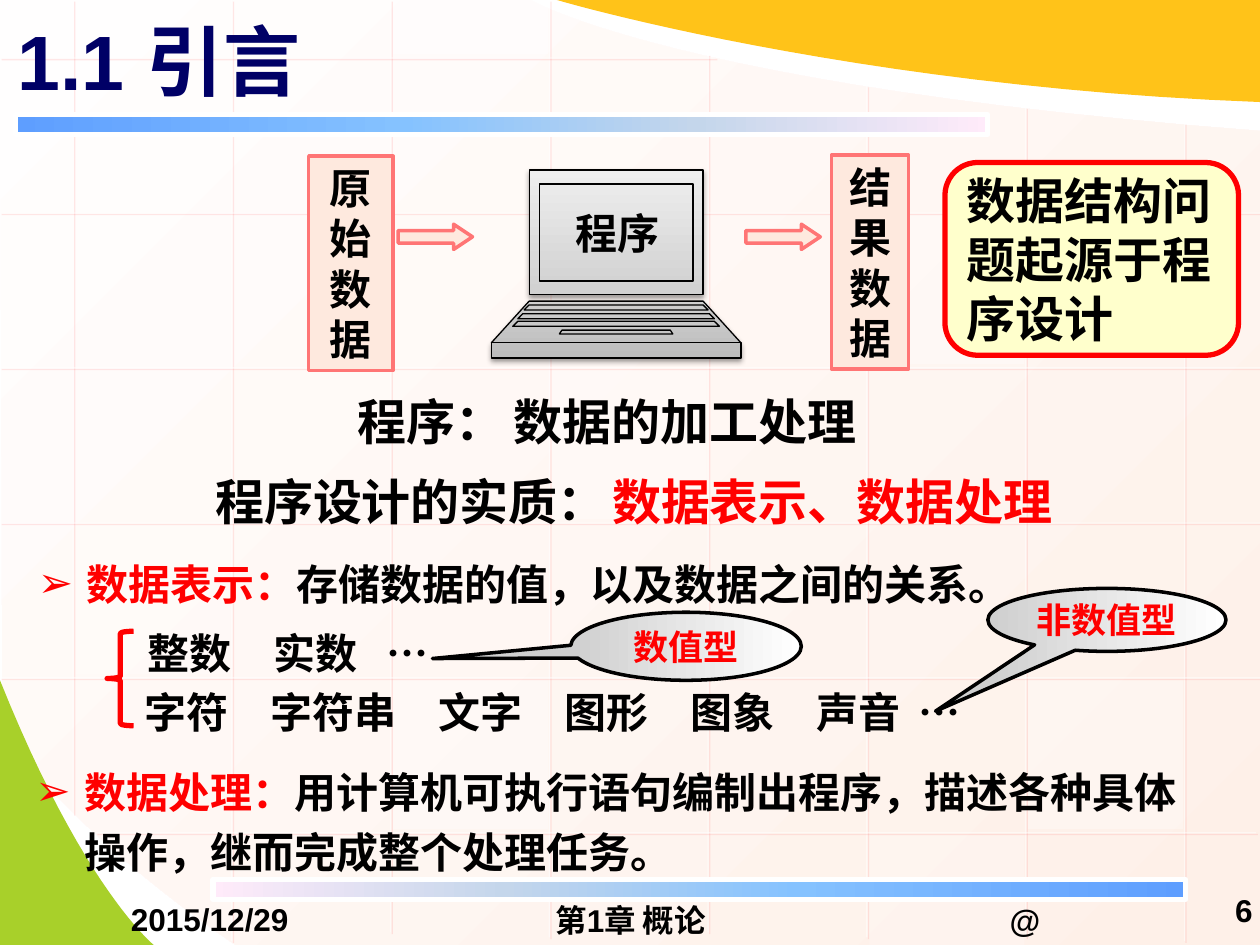
from dataclasses import dataclass

from lxml import etree
from pptx import Presentation
from pptx.dml.color import RGBColor
from pptx.enum.lang import MSO_LANGUAGE_ID
from pptx.enum.shapes import MSO_CONNECTOR, MSO_SHAPE
from pptx.enum.text import MSO_ANCHOR, MSO_AUTO_SIZE, PP_ALIGN
from pptx.oxml.ns import qn
from pptx.util import Inches, Pt

LEFT, CENTER, RIGHT = PP_ALIGN.LEFT, PP_ALIGN.CENTER, PP_ALIGN.RIGHT
TOP, MIDDLE = MSO_ANCHOR.TOP, MSO_ANCHOR.MIDDLE
CHINESE = MSO_LANGUAGE_ID.SIMPLIFIED_CHINESE
COLORS = {
    "black": "000000", "white": "FFFFFF", "navy": "000066", "red": "FF0000",
    "pink": "FF7575", "peach": "FEE9DE", "cream": "FFFFCC",
    "yellow": "FFC319", "green": "A8D02A",
}
BAR_STOPS = [(0, "5E9EFF"), (40, "85C2FF"), (70, "C4D6EB"), (100, "FFEBFA")]
BAR_STOPS_REVERSED = [(100 - position, color) for position, color in reversed(BAR_STOPS)]
LAPTOP_STOPS = [(0, "BDBDBD"), (35, "D1D1D1"), (100, "EEEEEE")]
CALLOUT_STOPS = [(0, "CFCFCF"), (100, "FFFFFF")]
PAPER_STOPS = [(0, "FFFEFE"), (100, "FEF0E8")]
GRID_LEFT, GRID_TOP, COLUMN_STEP, ROW_STEP = 0.58, 0.46, 1.26, 1.23
COLUMN_SPANS = [(0, 6.46), (0, 7.47), (0, 7.4), (0, 7.44),
                (0.43, 7.4), (0.68, 7.44), (0.85, 7.44), (0.98, 7.47)]
ROW_SPANS = [(0, 5.68)] + [(0, 10)] * 4 + [(0.76, 9.97)]
# column, row, opacity
TINTED_CELLS = [(3, 2, 25), (6, 4, 30), (0, 3, 20), (5, 5, 20),
                (2, -1, 40), (2, 4, 30), (5, 1, 30)]
LAPTOP_CENTER = 4.89


@dataclass
class Label:
    text: str
    box: tuple
    size: int = 24
    color: str = "black"
    align: PP_ALIGN = LEFT
    anchor: MSO_ANCHOR = TOP
    tab: float = 0


@dataclass
class LaptopPart:
    top: float
    bottom: float
    top_half: float
    bottom_half: float


@dataclass
class Panel:
    kind: MSO_SHAPE
    box: tuple
    fill: str | list
    line: str
    weight: float
    adjustments: tuple = ()
    text: str = ""
    size: int = 24
    color: str = "black"
    align: PP_ALIGN = CENTER
    font: str = "Arial"


LABELS = [
    Label("2015/12/29", (0.5, 7.14, 2.33, 0.3), 18, align=CENTER, anchor=MIDDLE),
    Label("第1章 概论", (3.42, 7.15, 3.17, 0.3), 18, align=CENTER, anchor=MIDDLE),
    Label("@", (6.97, 7.15, 2.33, 0.3), 18, align=CENTER, anchor=MIDDLE),
    Label("6", (9.38, 6.98, 0.66, 0.49), 18, align=RIGHT, anchor=MIDDLE),
    Label("程序", (4.4, 1.6, 1, 0.5), align=CENTER),
    Label("程序：", (2.74, 3.06, 1.15, 0.57), 28),
    Label("数据的加工处理", (3.98, 3.06, 3, 0.57), 28),
    Label("程序设计的实质：", (1.61, 3.69, 2.94, 0.57), 28),
    Label("数据表示、数据处理", (4.76, 3.69, 3.94, 0.57), 28, "red"),
    Label("整数　实数\t…", (1.07, 4.93, 6.06, 0.5), tab=1.9),
    Label("字符　字符串　文字　图形　图象　声音\t…", (1.05, 5.4, 6.8, 0.5), tab=6.14),
]
LAPTOP_PARTS = [
    LaptopPart(1.35, 2.34, 0.69, 0.69), LaptopPart(2.39, 2.72, 0.69, 0.99),
    LaptopPart(2.72, 2.84, 0.99, 0.99), LaptopPart(1.46, 2.23, 0.61, 0.61),
    LaptopPart(2.42, 2.46, 0.69, 0.73), LaptopPart(2.62, 2.65, 0.43, 0.45),
    LaptopPart(2.49, 2.53, 0.74, 0.78), LaptopPart(2.55, 2.59, 0.78, 0.82),
]
PANELS = [
    Panel(MSO_SHAPE.RIGHT_ARROW, (3.16, 1.78, 0.59, 0.2), "peach", "pink", 2, (0.5, 0.75)),
    Panel(MSO_SHAPE.RIGHT_ARROW, (5.92, 1.78, 0.59, 0.2), "peach", "pink", 2, (0.5, 0.75)),
    Panel(MSO_SHAPE.RECTANGLE, (2.45, 1.24, 0.67, 1.7), "peach", "pink", 2, text="原始数据"),
    Panel(MSO_SHAPE.RECTANGLE, (6.6, 1.23, 0.61, 1.7), "peach", "pink", 2, text="结果数据"),
    Panel(MSO_SHAPE.ROUNDED_RECTANGLE, (7.5, 1.29, 2.33, 1.53), "cream", "red", 3, (0.17,),
          "数据结构问题起源于程序设计", 28, align=LEFT, font="Noto Sans CJK SC"),
    Panel(MSO_SHAPE.OVAL_CALLOUT, (7.84, 4.67, 1.89, 0.5), CALLOUT_STOPS, "black", 2,
          (-0.72, 1.45), "非数值型", 20, "red"),
    Panel(MSO_SHAPE.OVAL_CALLOUT, (4.53, 4.86, 1.83, 0.54), CALLOUT_STOPS, "black", 2,
          (-1.1, 0.18), "数值型", 20, "red"),
]


def rgb(name: str) -> RGBColor:
    return RGBColor.from_string(COLORS[name])


def inches(values) -> list:
    return [Inches(value) for value in values]


def paint(shape, fill: str | list, angle: float = 0) -> None:
    """Fill with a named colour or with a list of gradient stops."""
    if isinstance(fill, str):
        shape.fill.solid()
        shape.fill.fore_color.rgb = rgb(fill)
        return
    shape.fill.gradient()
    shape.fill.gradient_angle = angle
    stops = shape.element.spPr.find(".//" + qn("a:gsLst"))
    for stop in list(stops):
        stops.remove(stop)
    for position, color in fill:
        stop = etree.SubElement(stops, qn("a:gs"), pos=str(position * 1000))
        etree.SubElement(stop, qn("a:srgbClr"), val=color)


def outline(shape, color: str, weight: float) -> None:
    shape.line.color.rgb = rgb(color)
    shape.line.width = Pt(weight)


def set_opacity(shape, percent: int) -> None:
    color = shape.element.spPr.find(".//" + qn("a:srgbClr"))
    etree.SubElement(color, qn("a:alpha"), val=str(percent * 1000))


def add_shadow(shape, color: str, opacity: int, blur: float, distance: float, angle: int) -> None:
    properties = shape.element.spPr
    effects = properties.find(qn("a:effectLst"))
    if effects is None:
        effects = etree.SubElement(properties, qn("a:effectLst"))
    shadow = etree.SubElement(effects, qn("a:outerShdw"), blurRad=str(Pt(blur)),
                              dist=str(Pt(distance)), dir=str(angle * 60000))
    tint = etree.SubElement(shadow, qn("a:srgbClr"), val=COLORS[color])
    etree.SubElement(tint, qn("a:alpha"), val=str(opacity * 1000))


def write(para, text: str, size: int, color: str, font: str = "Arial") -> None:
    span = para.add_run()
    span.text = text
    formats = {"name": font, "size": Pt(size), "bold": True, "language_id": CHINESE}
    for name, value in formats.items():
        setattr(span.font, name, value)
    span.font.color.rgb = rgb(color)


def curve(*controls) -> list:
    """Points along a cubic Bezier curve."""
    points = []
    for step in range(25):
        t = step / 24
        weights = ((1 - t) ** 3, 3 * t * (1 - t) ** 2, 3 * t * t * (1 - t), t ** 3)
        points.append(tuple(sum(w * p[axis] for w, p in zip(weights, controls))
                            for axis in (0, 1)))
    return points


def add_outline(page, contours: list):
    """Draw closed contours as one freeform, each filled on its own."""
    builder = None
    for contour in contours:
        first, *others = [inches(point) for point in contour]
        if builder is None:
            builder = page.shapes.build_freeform(*first)
        else:
            builder.move_to(*first)
        builder.add_line_segments(others, close=True)
    shape = builder.convert_to_shape()
    shape.shadow.inherit = False
    shape.line.fill.background()
    whole = shape.element.spPr.find(".//" + qn("a:path"))
    for command in list(whole):
        if command.tag == qn("a:moveTo"):
            part = etree.SubElement(whole.getparent(), qn("a:path"), dict(whole.attrib))
        part.append(command)
    whole.getparent().remove(whole)
    return shape


def add_plain(page, kind: MSO_SHAPE, box: tuple):
    shape = page.shapes.add_shape(kind, *inches(box))
    shape.shadow.inherit = False
    shape.line.fill.background()
    return shape


def draw_backdrop(page) -> None:
    paper = [(10, 1.04), (10, 7.5), *curve((1.87, 7.5), (0.55, 6.6), (0.01, 5.8), (0.02, 5.8)),
             (0, 0), *curve((4.21, 0), (4.21, 0), (5.37, 0.69), (10, 1.04))]
    paint(add_outline(page, [paper]), PAPER_STOPS, 315)
    leaf = [(0, 7.5), *curve((1.22, 7.5), (1.22, 7.5), (0.66, 7.05), (0, 5.4))]
    paint(add_outline(page, [leaf]), "green")

    lines = [(GRID_LEFT + COLUMN_STEP * i, top, GRID_LEFT + COLUMN_STEP * i, bottom)
             for i, (top, bottom) in enumerate(COLUMN_SPANS)]
    lines += [(left, GRID_TOP + ROW_STEP * i, right, GRID_TOP + ROW_STEP * i)
              for i, (left, right) in enumerate(ROW_SPANS)]
    for ends in lines:
        line = page.shapes.add_connector(MSO_CONNECTOR.STRAIGHT, *inches(ends))
        outline(line, "white", 0.75)
        set_opacity(line, 50)
        add_shadow(line, "pink", 33, 0, 1.4, 45)
    for column, row, opacity in TINTED_CELLS:
        left = GRID_LEFT + COLUMN_STEP * column + 0.02
        top = GRID_TOP + ROW_STEP * row + 0.02
        bottom = min(top + 1.18, 7.5)
        top = max(top, 0)
        cell = add_plain(page, MSO_SHAPE.RECTANGLE, (left, top, 1.23, bottom - top))
        paint(cell, "white")
        set_opacity(cell, opacity)

    swoosh = [(10, 0), *curve((4.42, 0), (4.42, 0), (6.74, 0.69), (10, 0.81))]
    paint(add_outline(page, [swoosh]), "yellow")
    for left, top, stops in ((0.12, 0.91, BAR_STOPS), (1.69, 6.98, BAR_STOPS_REVERSED)):
        bar = add_plain(page, MSO_SHAPE.RECTANGLE, (left, top, 7.72, 0.16))
        paint(bar, stops)
        outline(bar, "white", 3)


def draw_laptop(page) -> None:
    contours = [[(LAPTOP_CENTER - part.top_half, part.top),
                 (LAPTOP_CENTER + part.top_half, part.top),
                 (LAPTOP_CENTER + part.bottom_half, part.bottom),
                 (LAPTOP_CENTER - part.bottom_half, part.bottom)] for part in LAPTOP_PARTS]
    laptop = add_outline(page, contours)
    paint(laptop, LAPTOP_STOPS, 90)
    outline(laptop, "black", 0.75)
    add_shadow(laptop, "black", 38, 3.1, 1.6, 90)


def draw_panel(page, panel: Panel) -> None:
    shape = add_plain(page, panel.kind, panel.box)
    for index, value in enumerate(panel.adjustments):
        shape.adjustments[index] = value
    paint(shape, panel.fill)
    outline(shape, panel.line, panel.weight)
    if panel.text:
        frame = shape.text_frame
        frame.word_wrap = panel.kind != MSO_SHAPE.OVAL_CALLOUT
        frame.vertical_anchor = MIDDLE
        para = frame.paragraphs[0]
        para.alignment = panel.align
        write(para, panel.text, panel.size, panel.color, panel.font)


def draw_label(page, label: Label) -> None:
    frame = page.shapes.add_textbox(*inches(label.box)).text_frame
    frame.word_wrap = True
    frame.vertical_anchor = label.anchor
    if label.box[3] < 0.4:
        frame.margin_top = frame.margin_bottom = 0
    para = frame.paragraphs[0]
    para.alignment = label.align
    if label.tab:
        tabs = etree.SubElement(para._p.get_or_add_pPr(), qn("a:tabLst"))
        etree.SubElement(tabs, qn("a:tab"), pos=str(Inches(label.tab)), algn="l")
    write(para, label.text, label.size, label.color)


def place(page, holder, box: tuple, anchor: MSO_ANCHOR):
    """Move a placeholder to the front and return its first paragraph."""
    page.shapes.element.append(holder.element)
    for name, value in zip(("left", "top", "width", "height"), inches(box)):
        setattr(holder, name, value)
    frame = holder.text_frame
    frame.auto_size = MSO_AUTO_SIZE.NONE
    frame.word_wrap = True
    frame.vertical_anchor = anchor
    para = frame.paragraphs[0]
    para.alignment = LEFT
    return para


def fill_bullet(page, holder, box: tuple, term: str, meaning: str) -> None:
    para = place(page, holder, box, TOP)
    properties = para._p.get_or_add_pPr()
    properties.set("marL", str(Inches(0.39)))
    properties.set("indent", str(Inches(-0.39)))
    bullet_color = etree.SubElement(properties, qn("a:buClr"))
    etree.SubElement(bullet_color, qn("a:srgbClr"), val=COLORS["red"])
    etree.SubElement(properties, qn("a:buChar"), char="➢")
    para.line_spacing = 1.2
    para.space_before = Pt(0)
    write(para, term, 24, "red", "Times New Roman")
    write(para, meaning, 24, "black", "Times New Roman")


def main() -> None:
    deck = Presentation()
    deck.slide_width, deck.slide_height = Inches(10), Inches(7.5)
    page = deck.slides.add_slide(deck.slide_layouts[3])
    title, first_body, second_body = page.placeholders
    draw_backdrop(page)
    write(place(page, title, (0.04, -0.03, 9, 1.01), MIDDLE), "1.1 引言", 44, "navy")
    fill_bullet(page, first_body, (0.2, 4.3, 8.92, 0.54),
                "数据表示：", "存储数据的值，以及数据之间的关系。")
    fill_bullet(page, second_body, (0.18, 5.95, 9.55, 1.07),
                "数据处理：", "用计算机可执行语句编制出程序，描述各种具体操作，继而完成整个处理任务。")
    draw_laptop(page)
    for label in LABELS:
        draw_label(page, label)
    for panel in PANELS:
        draw_panel(page, panel)
    brace = add_plain(page, MSO_SHAPE.LEFT_BRACE, (0.85, 5.01, 0.21, 0.75))
    brace.fill.background()
    outline(brace, "red", 3)
    deck.save("out.pptx")


if __name__ == "__main__":
    main()
